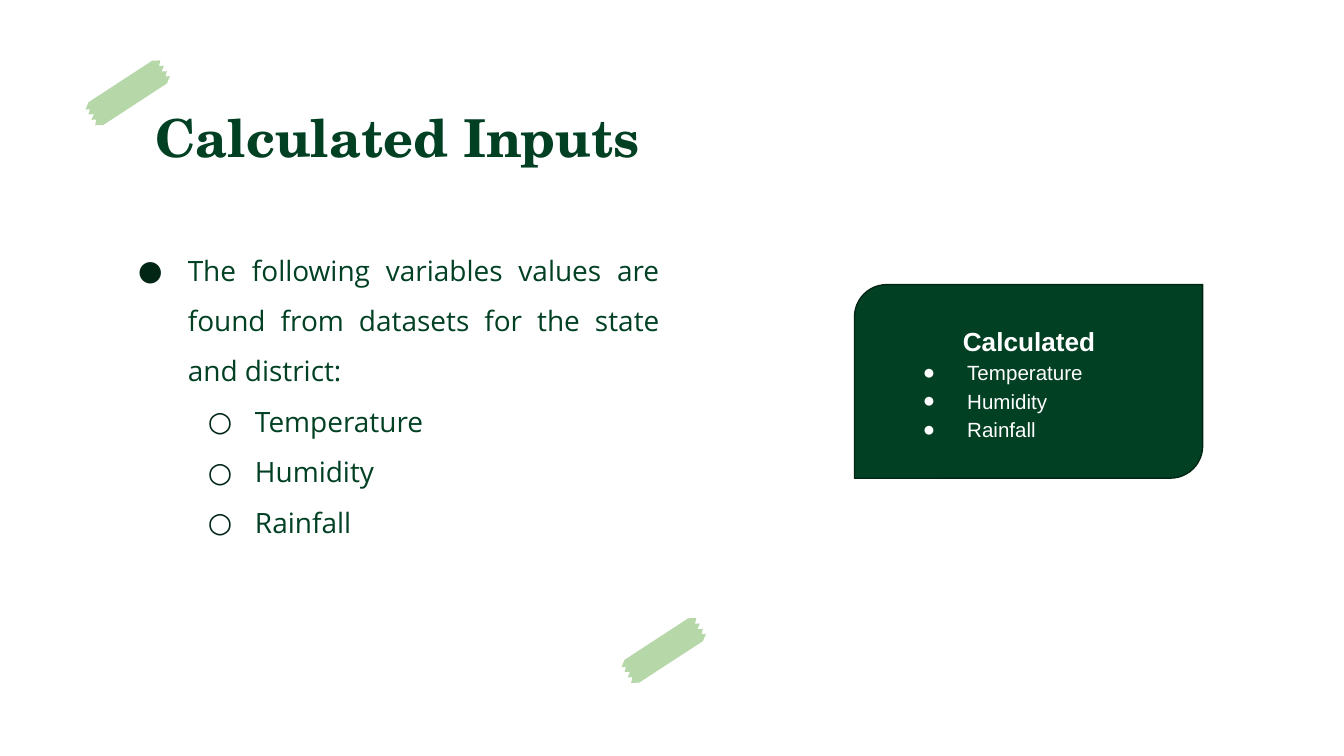
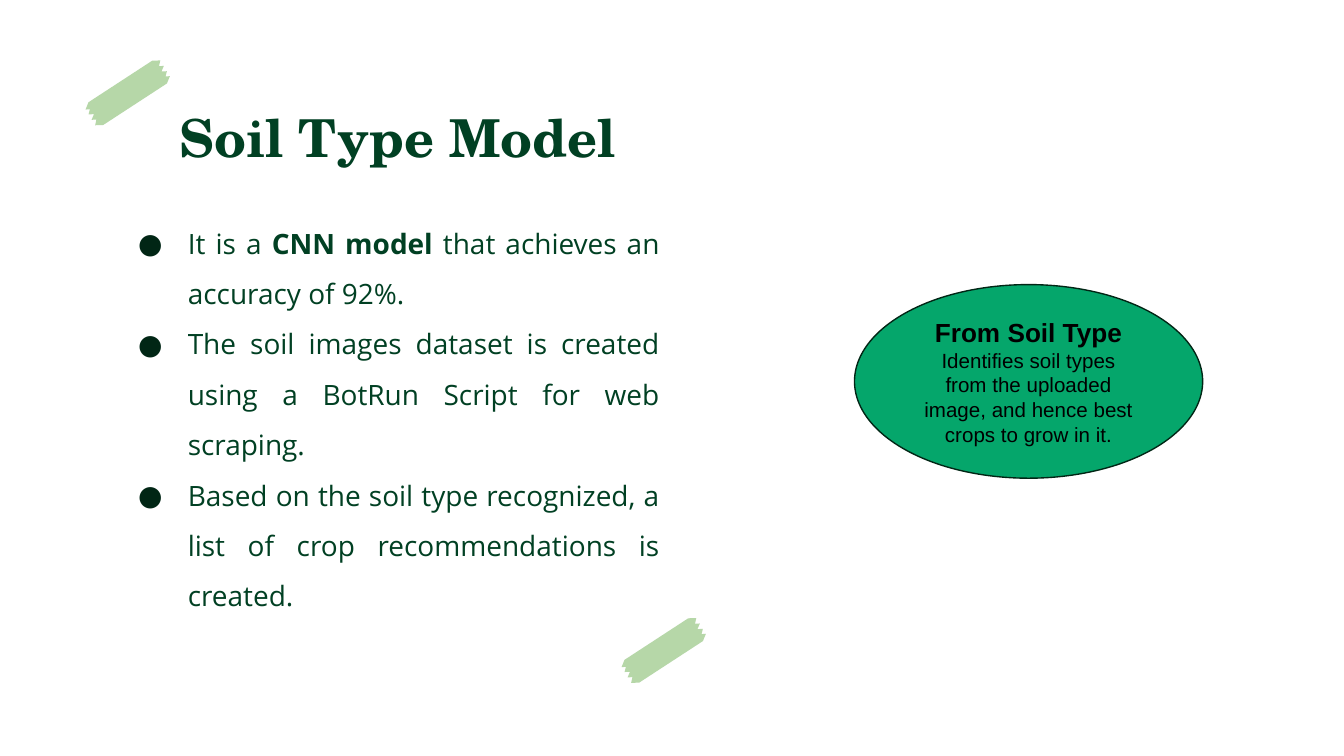
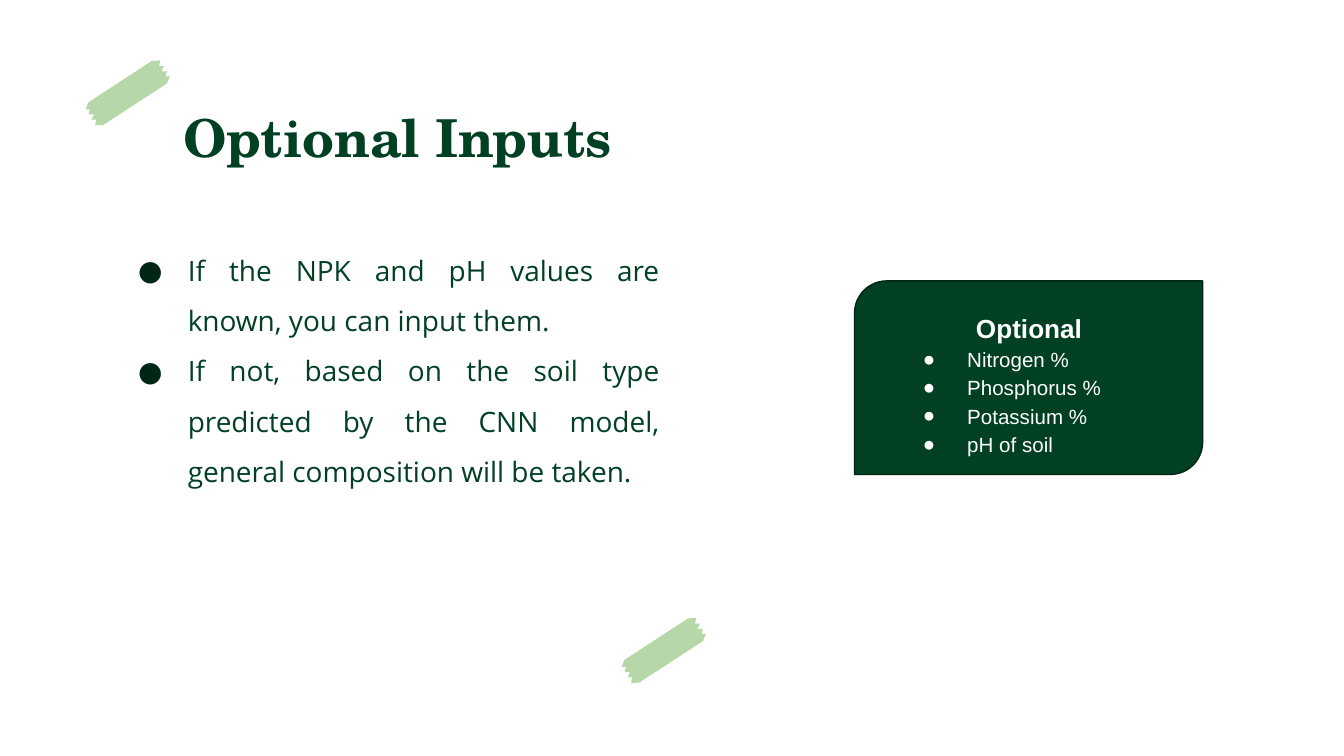
from lxml import etree
from pptx import Presentation
from pptx.dml.color import RGBColor
from pptx.enum.shapes import MSO_SHAPE as Shape
from pptx.enum.text import MSO_ANCHOR as Anchor, MSO_AUTO_SIZE as Fit, PP_ALIGN as Align
from pptx.oxml.ns import qn
from pptx.util import Cm, Pt

# Shared colours, fonts and paragraph styles
DEEP, INK, MINT, LEAF = "014023", "012615", "05A66B", "B6D7A8"
WHITE, BLACK = "FFFFFF", "000000"
SERIF, SANS, PLAIN = "TeX Gyre Schola", "Open Sans", "Arial"

TITLE = dict(font=SERIF, size=28, color=DEEP, bold=True, align=Align.CENTER)
ITEM = dict(font=SANS, size=15, color=DEEP, align=Align.JUSTIFY, space=1.5,
            mark="●", tint=INK, left=1.27, hang=0.94)
SUB = dict(ITEM, mark="○", left=2.54, hang=0.89, level=1)
HEAD = dict(font=PLAIN, size=14, color=WHITE, bold=True, align=Align.CENTER, space=1.15)
ENTRY = dict(font=PLAIN, size=11, color=WHITE, align=Align.LEFT, space=1.15,
             mark="●", tint=WHITE, left=1.27, hang=0.84)
LABEL = dict(font=PLAIN, size=14, color=BLACK, bold=True, align=Align.CENTER)
NOTE = dict(LABEL, size=11, bold=False)

# One torn end and long edge of the tape, in cm; the other half is its half turn
TAPE_W, TAPE_H = 1.57, 1.27
TORN = [(1.37, 0), (1.22, 0.01), (0.06, 0.84), (0.01, 0.98), (0.09, 0.97),
        (0.07, 1.07), (0.17, 1.06), (0.13, 1.17), (0.22, 1.16)]


def rgb(code):
    return RGBColor.from_string(code)


def place(shape, *box):
    for name, value in zip(("left", "top", "width", "height"), box):
        setattr(shape, name, Cm(value))


def bullet(para, style):
    props = para._p.get_or_add_pPr()
    props.set("marL", str(Cm(style["left"])))
    props.set("indent", str(-Cm(style["hang"])))
    tint = etree.SubElement(props, qn("a:buClr"))
    etree.SubElement(tint, qn("a:srgbClr"), val=style["tint"])
    etree.SubElement(props, qn("a:buFont"), typeface=style["font"])
    etree.SubElement(props, qn("a:buChar"), char=style["mark"])


def write(shape, lines, anchor=Anchor.TOP, fit=Fit.NONE):
    """Fill a shape with (text, style) lines; *stars* enclose bold words."""
    frame = shape.text_frame
    setup = dict(word_wrap=True, auto_size=fit, vertical_anchor=anchor,
                 margin_left=Cm(0.25), margin_right=Cm(0.25),
                 margin_top=Cm(0.25), margin_bottom=Cm(0.25))
    for name, value in setup.items():
        setattr(frame, name, value)
    for n, (text, style) in enumerate(lines):
        para = frame.add_paragraph() if n else frame.paragraphs[0]
        if "mark" in style:
            bullet(para, style)
        para.alignment = style["align"]
        para.level = style.get("level", 0)
        para.line_spacing = style.get("space", 1.0)
        for k, part in enumerate(text.split("*")):
            run = para.add_run()
            run.text = part
            look = dict(name=style["font"], size=Pt(style["size"]),
                        bold=style.get("bold", False) or k % 2 == 1)
            for name, value in look.items():
                setattr(run.font, name, value)
            run.font.color.rgb = rgb(style["color"])


def box(slide, area, lines, **setup):
    write(slide.shapes.add_textbox(*map(Cm, area)), lines, **setup)


def tape(slide, left, top):
    turned = [(TAPE_W - x, TAPE_H - y) for x, y in TORN]
    points = [(Cm(x), Cm(y)) for x, y in TORN + turned]
    form = slide.shapes.build_freeform(*points[0])
    form.add_line_segments(points[1:], close=True)
    strip = form.convert_to_shape()
    place(strip, left, top, TAPE_W, TAPE_H)
    strip.rotation = 2.1
    strip.shadow.inherit = False
    strip.fill.solid()
    strip.fill.fore_color.rgb = rgb(LEAF)
    strip.line.fill.background()


def card(slide, kind, top, color):
    shape = slide.shapes.add_shape(kind, *map(Cm, (16.15, top, 6.58, 3.66)))
    shape.shadow.inherit = False
    shape.fill.solid()
    shape.fill.fore_color.rgb = rgb(color)
    shape.line.color.rgb = rgb(INK)
    shape.line.width = Pt(0.75)
    return shape


def panel(slide, top, head, names, gap, height):
    """A dark card with a heading and a bulleted list over it."""
    card(slide, Shape.ROUND_2_DIAG_RECTANGLE, top, DEEP)
    lines = [(head, HEAD)] + [(name, ENTRY) for name in names]
    box(slide, (16.76, top + gap, 5.38, height), lines, fit=Fit.SHAPE_TO_FIT_TEXT)


def page(deck, title, top, lines):
    """A slide with its title, body list and two tape strips."""
    slide = deck.slides.add_slide(deck.slide_layouts[5])
    place(slide.shapes.title, 2.03, 1.73, 10.97, 1.6)
    write(slide.shapes.title, [(title, TITLE)])
    box(slide, (2.03, top, 10.69, 5.97), lines)
    tape(slide, 11.76, 11.66)
    tape(slide, 1.63, 1.12)
    return slide


def main():
    deck = Presentation()
    deck.slide_width, deck.slide_height = Cm(25.4), Cm(14.29)

    # Calculated inputs
    found = ["Temperature", "Humidity", "Rainfall"]
    intro = "The following variables values are found from datasets for the state and district:"
    slide = page(deck, "Calculated Inputs", 4.22,
                 [(intro, ITEM)] + [(name, SUB) for name in found])
    panel(slide, 5.38, "Calculated", found, 0.43, 2.74)

    # Soil type model
    slide = page(deck, "Soil Type Model", 3.71, [
        ("It is a *CNN model* that achieves an accuracy of 92%.", ITEM),
        ("The soil images dataset is created using a BotRun Script for web scraping.", ITEM),
        ("Based on the soil type recognized, a list of crop recommendations is created.", ITEM),
    ])
    write(card(slide, Shape.OVAL, 5.38, MINT), [
        ("From Soil Type", LABEL),
        ("Identifies soil types from the uploaded image, and hence best crops to grow in it.", NOTE),
    ], anchor=Anchor.MIDDLE)

    # Optional inputs
    slide = page(deck, "Optional Inputs", 4.22, [
        ("If the NPK and pH values are known, you can input them.", ITEM),
        ("If not, based on the soil type predicted by the CNN model, "
         "general composition will be taken.", ITEM),
    ])
    panel(slide, 5.31, "Optional",
          ["Nitrogen %", "Phosphorus %", "Potassium %", "pH of soil"], 0.25, 3.3)

    deck.save("out.pptx")


if __name__ == "__main__":
    main()
